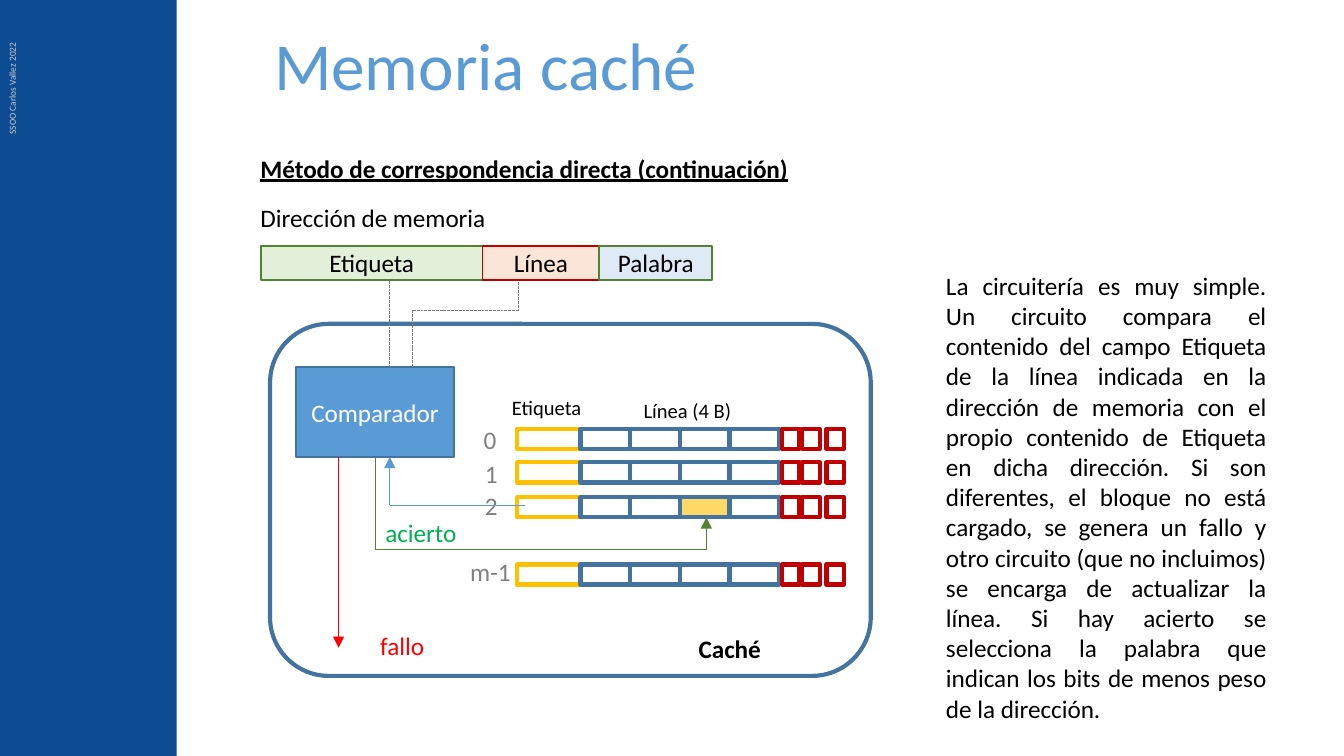
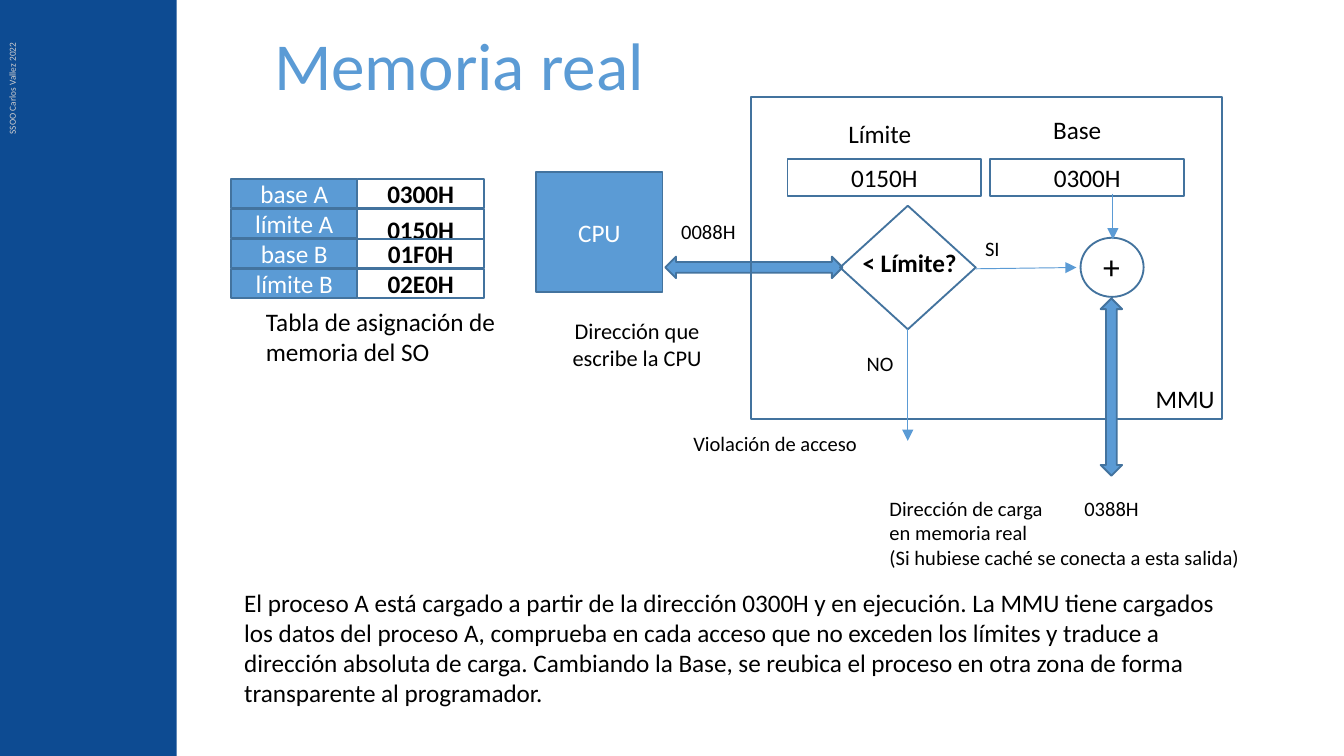
from dataclasses import dataclass
from itertools import pairwise
from typing import Any, Optional

from lxml.etree import SubElement as Sub
from pptx import Presentation
from pptx.dml.color import RGBColor as RGB
from pptx.enum.dml import MSO_LINE as Dash
from pptx.enum.shapes import MSO_CONNECTOR as Link, MSO_SHAPE as Kind
from pptx.enum.text import MSO_ANCHOR as Anchor, MSO_AUTO_SIZE as Fit, PP_ALIGN as Align
from pptx.oxml.ns import qn
from pptx.util import Pt

FONT = "Calibri"
NAVY = RGB(0x0D, 0x4B, 0x92)
BLUE = RGB(0x5B, 0x9B, 0xD5)
STEEL = RGB(0x43, 0x73, 0x9E)
SKY = RGB(0xDE, 0xEB, 0xF7)
MINT = RGB(0xE2, 0xF0, 0xD9)
PEACH = RGB(0xFB, 0xE5, 0xD6)
GREEN = RGB(0x54, 0x82, 0x35)
LIME = RGB(0x00, 0xB0, 0x50)
WINE = RGB(0xC0, 0x00, 0x00)
RED = RGB(0xFF, 0x00, 0x00)
AMBER = RGB(0xFF, 0xC0, 0x00)
GOLD = RGB(0xFF, 0xD9, 0x66)
GREY = RGB(0x80, 0x80, 0x80)
SLATE = RGB(0x7C, 0x7C, 0x7C)
SILVER = RGB(0xD0, 0xCE, 0xCE)
BLACK = RGB(0, 0, 0)
WHITE = RGB(255, 255, 255)
BODY = 13.5
SMALL = 11


@dataclass
class Box:
    x: float
    y: float
    w: float
    h: float
    text: str = ""
    fill: Optional[RGB] = None
    edge: Optional[RGB] = STEEL
    ink: RGB = BLACK
    bold: bool = False
    weight: float = 1
    kind: Kind = Kind.RECTANGLE
    turn: float = 0


@dataclass
class Note:
    x: float
    y: float
    w: float
    h: float
    text: str
    size: float = BODY
    ink: RGB = BLACK
    bold: bool = False
    under: bool = False
    align: Align = Align.LEFT
    wrap: bool = False
    turn: float = 0


@dataclass
class Path:
    points: list[tuple[float, float]]
    ink: RGB = BLUE
    head: bool = True
    dash: bool = False


@dataclass
class Row:
    y: float
    name: str
    x: float
    top: float
    w: float = 21.6
    hit: Optional[int] = None


def write(frame: Any, text: str, size: float, ink: RGB, bold: bool = False,
          under: bool = False, align: Align = Align.LEFT) -> None:
    for i, line in enumerate(text.split("\n")):
        para = frame.add_paragraph() if i else frame.paragraphs[0]
        para.alignment = align
        run = para.add_run()
        run.text = line
        font = run.font
        font.name, font.size, font.bold = FONT, Pt(size), bold
        font.underline = under
        font.color.rgb = ink


def draw_box(shapes: Any, box: Box) -> Any:
    shape = shapes.add_shape(box.kind, Pt(box.x), Pt(box.y), Pt(box.w), Pt(box.h))
    shape.shadow.inherit = False
    shape.rotation = box.turn
    if box.fill is None:
        shape.fill.background()
    else:
        shape.fill.solid()
        shape.fill.fore_color.rgb = box.fill
    if box.edge is None:
        shape.line.fill.background()
    else:
        shape.line.color.rgb = box.edge
        shape.line.width = Pt(box.weight)
    if box.text:
        shape.text_frame.vertical_anchor = Anchor.MIDDLE
        write(shape.text_frame, box.text, BODY, box.ink, box.bold, align=Align.CENTER)
    return shape


def draw_note(shapes: Any, note: Note) -> Any:
    shape = shapes.add_textbox(Pt(note.x), Pt(note.y), Pt(note.w), Pt(note.h))
    shape.rotation = note.turn
    frame = shape.text_frame
    frame.word_wrap = note.wrap
    frame.auto_size = Fit.SHAPE_TO_FIT_TEXT
    write(frame, note.text, note.size, note.ink, note.bold, note.under, note.align)
    return shape


def draw_path(shapes: Any, path: Path) -> None:
    last = len(path.points) - 2
    for i, (start, end) in enumerate(pairwise(path.points)):
        link = shapes.add_connector(Link.STRAIGHT, *map(Pt, start + end))
        link.line.color.rgb = path.ink
        link.line.width = Pt(0.5)
        if path.dash:
            link.line.dash_style = Dash.SQUARE_DOT
        props = link.element.spPr
        if path.head and i == last:
            Sub(props.find(qn("a:ln")), qn("a:tailEnd"), type="triangle")
        Sub(props, qn("a:effectLst"))


def draw(shapes: Any, items: list[Any]) -> None:
    tools = {Box: draw_box, Note: draw_note, Path: draw_path}
    for item in items:
        tools[type(item)](shapes, item)


def add_slide(deck: Any, name: str) -> Any:
    slide = deck.slides.add_slide(deck.slide_layouts[5])
    title = slide.shapes.title
    title.left, title.top, title.width, title.height = map(Pt, (139.7, 18, 555.1, 41.8))
    frame = title.text_frame
    frame.auto_size = Fit.NONE
    frame.word_wrap = True
    frame.vertical_anchor = Anchor.BOTTOM
    write(frame, name, 36, BLUE)
    frame.paragraphs[0].line_spacing = 0.9
    return slide.shapes


def set_layout(deck: Any, shapes: Any) -> None:
    band = draw_box(shapes, Box(-0.7, 0, 95.4, 405, fill=NAVY, edge=None))
    credit = draw_note(shapes, Note(-47.5, 18, 108.7, 13.7, "SSOO Carlos Vallez 2022",
                                    5, SILVER, wrap=True, turn=270))
    tree = deck.slide_layouts[5].shapes.element
    for shape in (band, credit):
        tree.append(shape.element)


def draw_row(shapes: Any, row: Row) -> None:
    cells = shapes.add_group_shape().shapes
    high, weight = 10.8, 2.25
    draw_box(cells, Box(277.2, row.y, 33.4, high, edge=AMBER, weight=weight))
    for i in range(4):
        fill = GOLD if i == row.hit else None
        draw_box(cells, Box(311 + 26.6 * i, row.y, 26.6, high, fill=fill, weight=weight))
    for x in (419, 429.8, 442.8):
        draw_box(cells, Box(x, row.y, 9.4, high, edge=WINE, weight=weight))
    draw_note(shapes, Note(row.x, row.top, row.w, 23.8, row.name, ink=GREY))


def draw_cache(shapes: Any) -> None:
    x = 139.7
    for text, wide, fill, edge in (("Etiqueta", 118.8, MINT, GREEN),
                                   ("Línea", 62.6, PEACH, WINE),
                                   ("Palabra", 60.5, SKY, GREEN)):
        draw_box(shapes, Box(x, 131.8, wide, 18, text, fill, edge))
        x += wide
    draw_box(shapes, Box(144.7, 173.5, 321.8, 188.6, fill=WHITE, weight=2.25,
                         kind=Kind.ROUNDED_RECTANGLE))
    for row in (Row(229.7, "0", 252, 223.9),
                Row(247.7, "1", 252.7, 241.9),
                Row(266.4, "2", 252.7, 259.2, hit=2),
                Row(302.4, "m-1", 244.8, 294.5, 36.7)):
        draw_row(shapes, row)
    draw(shapes, [
        Note(267.1, 208.1, 52.6, 20.9, "Etiqueta", SMALL),
        Note(337.7, 209.5, 61.9, 20.9, "Línea (4 B)", SMALL),
        Box(158.4, 196.6, 85, 48.2, "Comparador", BLUE, ink=WHITE),
        Path([(208.8, 150.5), (208.8, 196.6)], SLATE, False, True),
        Path([(277.9, 151.2), (277.9, 166.3), (221, 166.3), (221, 196.6)],
             SLATE, False, True),
        Path([(281.5, 270.7), (208.8, 270.7), (208.8, 244.8)]),
        Path([(181.4, 244.8), (181.4, 347)], RED),
        Path([(200.9, 244.8), (200.9, 294.5), (378.4, 294.5), (378.4, 277.2)], GREEN),
        Note(196.6, 334.1, 38.2, 23.8, "fallo", ink=RED),
        Note(199.4, 273.6, 53.3, 23.8, "acierto", ink=LIME),
        Note(499.7, 141.1, 185.8, 252.7,
             "La circuitería es muy simple. Un circuito compara el contenido del "
             "campo Etiqueta de la línea indicada en la dirección de memoria con el "
             "propio contenido de Etiqueta en dicha dirección. Si son diferentes, el "
             "bloque no está cargado, se genera un fallo y otro circuito (que no "
             "incluimos) se encarga de actualizar la línea. Si hay acierto se "
             "selecciona la palabra que indican los bits de menos peso de la "
             "dirección.", align=Align.JUSTIFY, wrap=True),
        Note(367.2, 335.5, 48.2, 23.8, "Caché", bold=True),
        Note(132.5, 105.1, 136.8, 23.8, "Dirección de memoria"),
        Note(132.5, 78.5, 360, 23.8, "Método de correspondencia directa (continuación)",
             bold=True, under=True, align=Align.JUSTIFY, wrap=True),
    ])


def draw_real(shapes: Any) -> None:
    table = (("base A", "0300H", 15.8), ("límite A", "0150H", 21.6),
             ("base B", "01F0H", 15.8), ("límite B", "02E0H", 15.8))
    for i, (name, value, high) in enumerate(table):
        y = 95.8 + 16.1 * i
        draw_box(shapes, Box(123.8, y, 67.7, 15.8, name, BLUE, ink=WHITE))
        draw_box(shapes, Box(191.5, y, 67.7, high, value, WHITE, bold=True))
    for x, value, left, top, name in ((421.9, "0150H", 402.5, 59.8, "Límite"),
                                      (530.6, "0300H", 508.3, 57.6, "Base")):
        draw_box(shapes, Box(x, 85, 103.7, 20.2, value, WHITE))
        draw_note(shapes, Note(left, top, 137.5, 23.8, name,
                               align=Align.CENTER, wrap=True))
    draw(shapes, [
        Note(135.4, 160.6, 137.5, 40.3, "Tabla de asignación de memoria del SO", wrap=True),
        Box(287.3, 92.2, 67.7, 64.1, "CPU", BLUE, ink=WHITE),
        Box(356.4, 137.5, 95, 11.5, fill=BLUE, kind=Kind.LEFT_RIGHT_ARROW),
        Note(293.8, 166.3, 95, 36, "Dirección que escribe la CPU", 12,
             align=Align.CENTER, wrap=True),
        Note(357.8, 113.8, 43.9, 20.9, "0088H", SMALL),
        Box(402.5, 51.8, 252, 172.8),
        Box(450, 110.2, 72.7, 66.2, kind=Kind.FLOWCHART_DECISION),
        Note(455, 128.9, 65.5, 23.8, "< Límite?", bold=True),
        Path([(486.3, 176.4), (486.3, 236.2)]),
        Note(457.2, 184.3, 28.8, 20.9, "NO", SMALL),
        Note(364.3, 227.5, 102.2, 20.9, "Violación de acceso", SMALL),
        Note(520.6, 123.1, 22.3, 20.9, "SI", SMALL),
        Path([(522.7, 144), (576.7, 143.3)]),
        Box(578.9, 127.4, 33.8, 31.7, kind=Kind.OVAL),
        Note(583.9, 128.2, 23.8, 28.8, "+", 18),
        Box(547.9, 201.6, 95, 11.5, fill=BLUE, kind=Kind.LEFT_RIGHT_ARROW, turn=90),
        Path([(596.2, 103.7), (596.2, 128.2)]),
        Note(573.8, 262.1, 43.9, 20.9, "0388H", SMALL),
        Note(469.4, 262.1, 203, 47.5, "Dirección de carga\nen memoria real\n"
             "(Si hubiese caché se conecta a esta salida)", SMALL),
        Note(123.8, 311, 540, 72.7,
             "El proceso A está cargado a partir de la dirección 0300H y en ejecución. "
             "La MMU tiene cargados los datos del proceso A, comprueba en cada acceso "
             "que no exceden los límites y traduce a dirección absoluta de carga. "
             "Cambiando la Base, se reubica el proceso en otra zona de forma "
             "transparente al programador.", wrap=True),
        Note(612, 201.6, 46.8, 23.8, "MMU"),
    ])


def main() -> None:
    deck = Presentation()
    deck.slide_width, deck.slide_height = Pt(720), Pt(405)
    cache = add_slide(deck, "Memoria caché")
    set_layout(deck, cache)
    draw_cache(cache)
    draw_real(add_slide(deck, "Memoria real"))
    deck.save("out.pptx")


if __name__ == "__main__":
    main()
